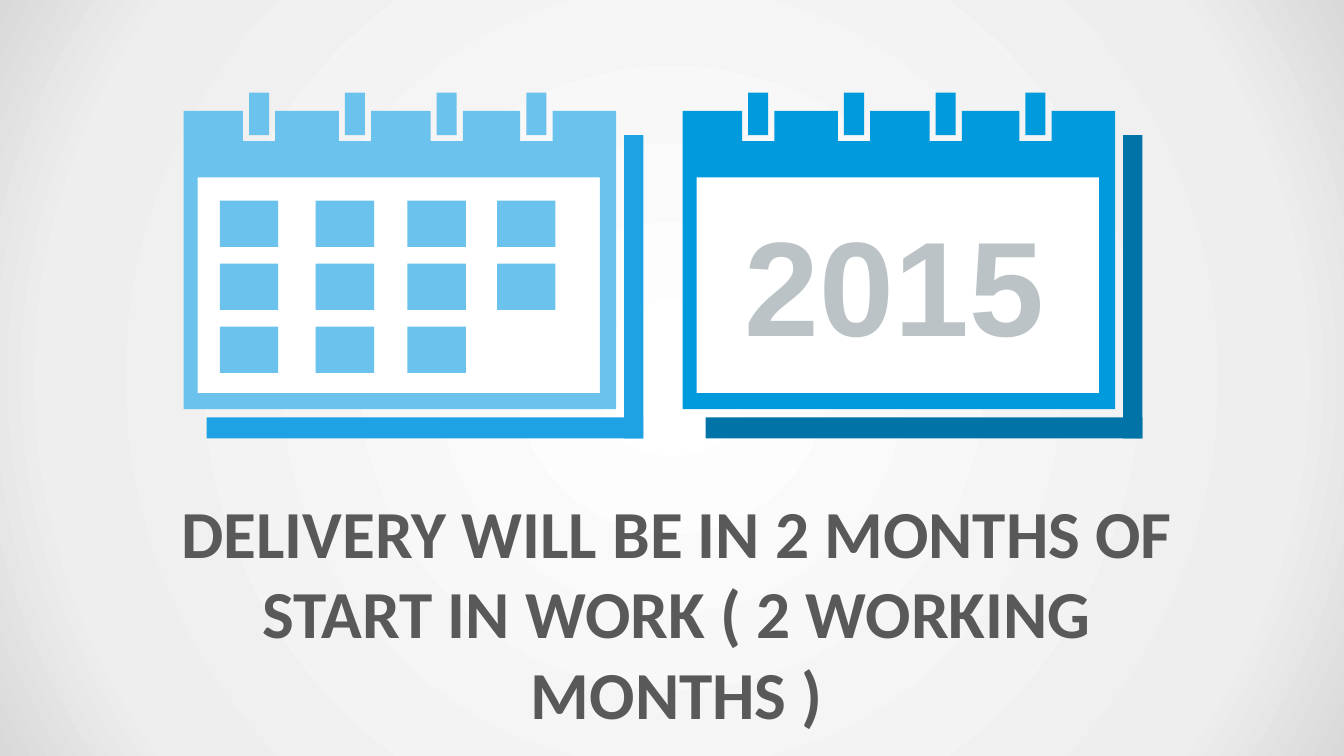
from pptx import Presentation
from pptx.dml.color import RGBColor
from pptx.enum.shapes import MSO_SHAPE
from pptx.enum.text import MSO_ANCHOR, PP_ALIGN
from pptx.oxml import parse_xml
from pptx.util import Inches, Pt

RECT = MSO_SHAPE.RECTANGLE
CENTER, LEFT = PP_ALIGN.CENTER, PP_ALIGN.LEFT
TOP = MSO_ANCHOR.TOP

# Content
TITLE = "DELIVERY WILL BE IN 2 MONTHS OF START IN WORK ( 2 WORKING MONTHS )"
YEAR = "2015"
DAYS_PER_COLUMN = (3, 3, 3, 2)
CALENDARS = [
    {"left": 1.82, "color": "6BC2ED", "shade": "1EA2E4", "year": None},
    {"left": 6.77, "color": "019ADD", "shade": "0173A6", "year": YEAR},
]

THEME = {
    "backdrop": ((0, "FFFFFF"), (81, "EEEEEE"), (100, "D9D9D9")),
    "page": "FFFFFF",
    "title": {"font": "Calibri", "size": 48, "color": "595959"},
    "year": {"font": "Arial", "size": 96, "color": "BBC3C6"},
}

# Calendar geometry in inches, measured from the frame's top left corner
FRAME_TOP, FRAME_W, FRAME_H = 1.1, 4.29, 2.96
WINDOW = (0.14, 0.66, 4.13, 2.8)  # left, top, right, bottom
PAGE = (0.06, 0.65, 4.16, 2.25)
RING_X = (0.65, 1.6, 2.51, 3.4)
RING_W, RING_H, RING_RISE = 0.2, 0.42, 0.18
NOTCH_MARGIN, NOTCH_DEPTH = 0.06, 0.3
DAY_W, DAY_H, DAY_TOP, DAY_PITCH, DAY_SHIFT = 0.58, 0.46, 0.89, 0.625, -0.29
SHADES = ((0.23, 3.04, 4.33, 0.21), (4.37, 0.24, 0.19, 3.01))
YEAR_BOX = (0.52, 0.86, 3.2, 1.72)


def paint(sp, color):
    sp.shadow.inherit = False
    sp.fill.solid()
    sp.fill.fore_color.rgb = RGBColor.from_string(color)
    sp.line.fill.background()


def add_text(shapes, box, text, style, align, wrap):
    tf = shapes.add_textbox(*map(Inches, box)).text_frame
    tf.word_wrap = wrap
    tf.vertical_anchor = TOP
    p = tf.paragraphs[0]
    p.text = text
    p.alignment = align
    p.font.name = style["font"]
    p.font.size = Pt(style["size"])
    p.font.bold = True
    p.font.color.rgb = RGBColor.from_string(style["color"])


def add_frame(shapes, left, color):
    """Frame with a window cut out and a notch under each ring."""
    def at(x, y):
        return Inches(left + x), Inches(FRAME_TOP + y)

    x1, y1, x2, y2 = WINDOW
    outline = []
    for x in RING_X:
        start, end = x - NOTCH_MARGIN, x + RING_W + NOTCH_MARGIN
        outline += [(start, 0), (start, NOTCH_DEPTH), (end, NOTCH_DEPTH), (end, 0)]
    outline += [(FRAME_W, 0), (FRAME_W, FRAME_H), (0, FRAME_H)]

    fb = shapes.build_freeform(*at(x1, y1))
    fb.add_line_segments([at(x1, y2), at(x2, y2), at(x2, y1)], close=True)
    fb.move_to(*at(0, 0))
    fb.add_line_segments([at(x, y) for x, y in outline], close=True)
    paint(fb.convert_to_shape(), color)


def add_calendar(slide, cal):
    shapes = slide.shapes.add_group_shape().shapes
    left, color = cal["left"], cal["color"]

    def add_rect(x, y, w, h, fill):
        box = (left + x, FRAME_TOP + y, w, h)
        paint(shapes.add_shape(RECT, *map(Inches, box)), fill)

    add_rect(*PAGE, THEME["page"])
    add_frame(shapes, left, color)
    for x in RING_X:
        add_rect(x, -RING_RISE, RING_W, RING_H, color)
    for shade in SHADES:
        add_rect(*shade, cal["shade"])

    # Page contents: a year or a grid of days
    if cal["year"]:
        x, y, w, h = YEAR_BOX
        add_text(shapes, (left + x, FRAME_TOP + y, w, h), cal["year"],
                 THEME["year"], LEFT, False)
    else:
        for x, days in zip(RING_X, DAYS_PER_COLUMN):
            for row in range(days):
                add_rect(x + DAY_SHIFT, DAY_TOP + row * DAY_PITCH, DAY_W, DAY_H, color)


def set_backdrop(slide):
    stops = "".join(
        f'<a:gs pos="{pos * 1000}"><a:srgbClr val="{color}"/></a:gs>'
        for pos, color in THEME["backdrop"])
    slide.element.cSld.insert(0, parse_xml(
        '<p:bg xmlns:p="http://schemas.openxmlformats.org/presentationml/2006/main" '
        'xmlns:a="http://schemas.openxmlformats.org/drawingml/2006/main">'
        f'<p:bgPr><a:gradFill rotWithShape="1"><a:gsLst>{stops}</a:gsLst>'
        '<a:path path="circle"><a:fillToRect l="50000" t="50000" r="50000" b="50000"/>'
        '</a:path></a:gradFill><a:effectLst/></p:bgPr></p:bg>'))


def main():
    prs = Presentation()
    prs.slide_width, prs.slide_height = Inches(13.33), Inches(7.5)
    slide = prs.slides.add_slide(prs.slide_layouts[6])
    set_backdrop(slide)
    add_text(slide.shapes, (1.05, 4.82, 11.33, 1.49), TITLE, THEME["title"], CENTER, True)
    for cal in CALENDARS:
        add_calendar(slide, cal)
    prs.save("out.pptx")


if __name__ == "__main__":
    main()
